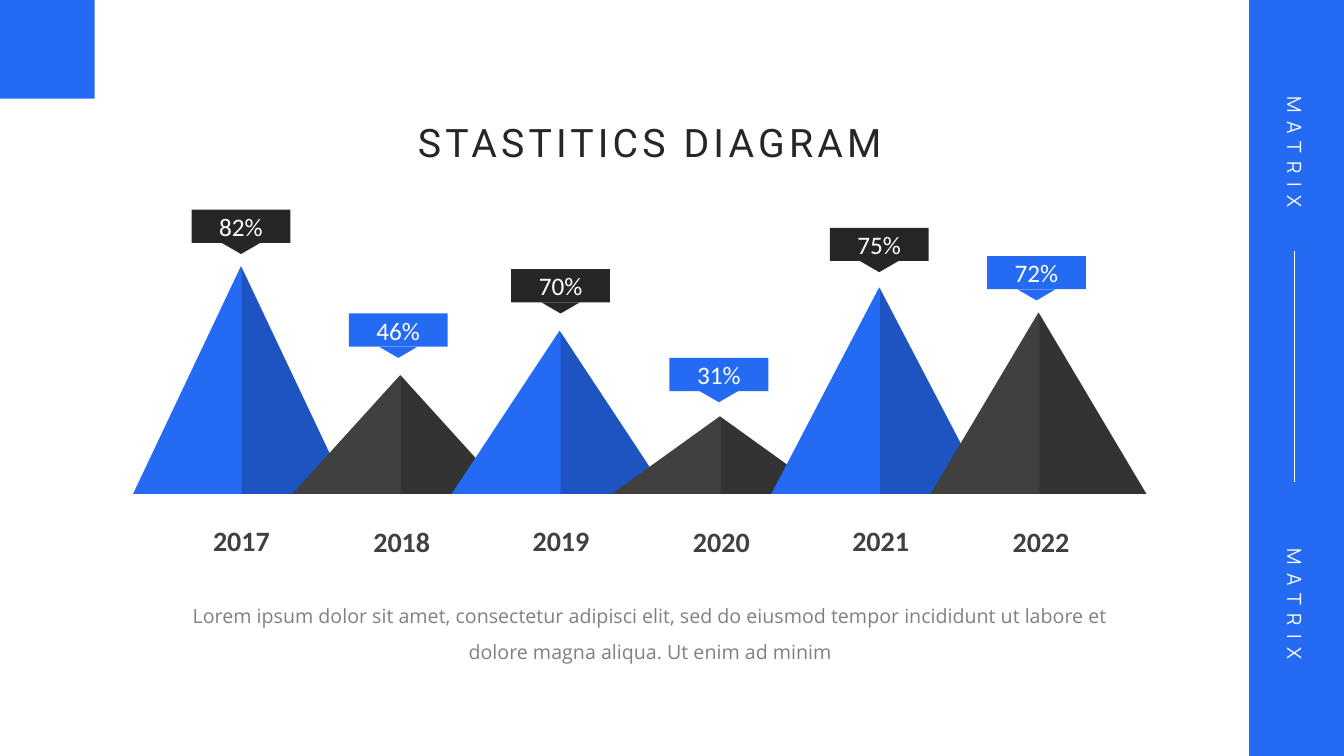
"""Build a slide of six yearly peaks with percent tags."""
from dataclasses import dataclass

from lxml import etree
from pptx import Presentation
from pptx import util as u
from pptx.dml.color import RGBColor
from pptx.enum import shapes, text
from pptx.oxml.ns import qn

PX = 9144
KIND = shapes.MSO_SHAPE


@dataclass(frozen=True)
class Theme:
    """Colours, fonts and type sizes of the slide."""
    blue: str = "256AF3"
    dark: str = "262626"
    slate: str = "404040"
    grey: str = "808080"
    white: str = "FFFFFF"
    black: str = "000000"
    head: str = "Roboto"
    body: str = "Open Sans"
    label: str = "Calibri"
    side: str = "Manrope"
    title: int = 28
    year: int = 20
    tag: int = 18
    small: int = 14


class Board:
    """Draws elements on one slide in a given theme."""

    def __init__(self, slide, theme):
        """Keep the slide and its theme."""
        self.shapes = slide.shapes
        self.theme = theme

    def paint(self, shape, color, alpha=None):
        """Give a shape a flat fill without line or shadow."""
        shape.shadow.inherit = False
        shape.line.fill.background()
        shape.fill.solid()
        shape.fill.fore_color.rgb = RGBColor.from_string(color)
        if alpha is not None:
            tint = shape._element.spPr.find(".//" + qn("a:srgbClr"))
            etree.SubElement(tint, qn("a:alpha"), val=str(alpha * 1000))

    def block(self, kind, x, y, w, h, color, turn=0):
        """Add a filled preset shape."""
        shape = self.shapes.add_shape(kind, x * PX, y * PX, w * PX, h * PX)
        shape.rotation = turn
        self.paint(shape, color)
        return shape

    def letter(self, frame, words, face, size, color, bold=False, gap=0, line=None):
        """Put one centred paragraph in a text frame."""
        para = frame.paragraphs[0]
        para.alignment = text.PP_ALIGN.CENTER
        if line:
            para.line_spacing = line
        run = para.add_run()
        run.text = words
        if gap:
            run._r.get_or_add_rPr().set("spc", str(gap * 100))
        font = para.font
        font.name, font.size, font.bold = face, u.Pt(size), bold
        font.color.rgb = RGBColor.from_string(color)

    def label(self, x, y, w, h, *words, turn=0, wrap=True, **style):
        """Add a text box."""
        box = self.shapes.add_textbox(x * PX, y * PX, w * PX, h * PX)
        box.rotation = turn
        frame = box.text_frame
        frame.word_wrap = wrap
        frame.auto_size = text.MSO_AUTO_SIZE.SHAPE_TO_FIT_TEXT
        self.letter(frame, *words, **style)

    def facet(self, points, color, alpha=None):
        """Add a closed filled outline."""
        pen = self.shapes.build_freeform(*points[0], scale=PX)
        pen.add_line_segments(points[1:], close=True)
        self.paint(pen.convert_to_shape(), color, alpha)

    def peak(self, x, top, color):
        """Add a peak with a shaded right half."""
        base, right, mid = 490, x + 214, x + 107
        self.facet([(mid, top), (right, base), (x, base)], color)
        self.facet([(mid + 1, top + 1), (mid + 1, base), (right, base)],
                   self.theme.black, 20)

    def tag(self, x, y, words, color):
        """Add a percent tag with a pointer below."""
        box = self.block(KIND.RECTANGLE, x, y, 98, 33, color)
        frame = box.text_frame
        frame.vertical_anchor = text.MSO_ANCHOR.MIDDLE
        self.letter(frame, words, self.theme.label, self.theme.tag, self.theme.white)
        self.block(KIND.ISOSCELES_TRIANGLE, x + 30, y + 33, 38, 11, color, 180)

    def rule(self, x, top, end, color):
        """Add a thin upright line."""
        line = self.shapes.add_connector(
            shapes.MSO_CONNECTOR.STRAIGHT, x * PX, top * PX, x * PX, end * PX)
        line.line.color.rgb = RGBColor.from_string(color)
        line.line.width = u.Pt(0.5)
        etree.SubElement(line._element.spPr, qn("a:effectLst"))


def main():
    """Build and save the slide."""
    deck = Presentation()
    deck.slide_width, deck.slide_height = u.Inches(13.33), u.Inches(7.5)
    look = Theme()
    board = Board(deck.slides.add_slide(deck.slide_layouts[6]), look)

    board.block(KIND.RECTANGLE, 1239, 0, 94, 750, look.blue)
    for y in (134, 582):
        board.label(1186, y, 196, 34, "MATRIX", look.side, look.small, look.white,
                    turn=90, gap=6)
    board.rule(1284, 249, 478, look.white)
    board.block(KIND.RECTANGLE, 0, 0, 94, 98, look.blue)

    data = [
        ("2017", "82%", 264, 190, 208),
        ("2018", "46%", 372, 346, 311),
        ("2019", "70%", 328, 507, 267),
        ("2020", "31%", 413, 664, 355),
        ("2021", "75%", 285, 823, 226),
        ("2022", "72%", 310, 979, 254),
    ]
    for i, (_, _, top, _, _) in enumerate(data):
        board.peak(round(132 + 158.2 * i), top, (look.blue, look.slate)[i % 2])
    for i, (year, share, _, x, y) in enumerate(data):
        board.tag(x, y, share, (look.dark, look.blue)[i % 2])
        board.label(round(201 + 158.6 * i), 514 + i % 2, 77, 44, year,
                    look.label, look.year, look.slate, wrap=False, bold=True)

    board.label(255, 112, 779, 57, "STASTITICS DIAGRAM",
                look.head, look.title, look.dark, gap=3)
    board.label(152, 583, 986, 77,
                "Lorem ipsum dolor sit amet, consectetur adipisci elit, sed do eiusmod "
                "tempor incididunt ut labore et dolore magna aliqua. Ut enim ad minim",
                look.body, look.small, look.grey, line=1.5)
    deck.save("out.pptx")


if __name__ == "__main__":
    main()
